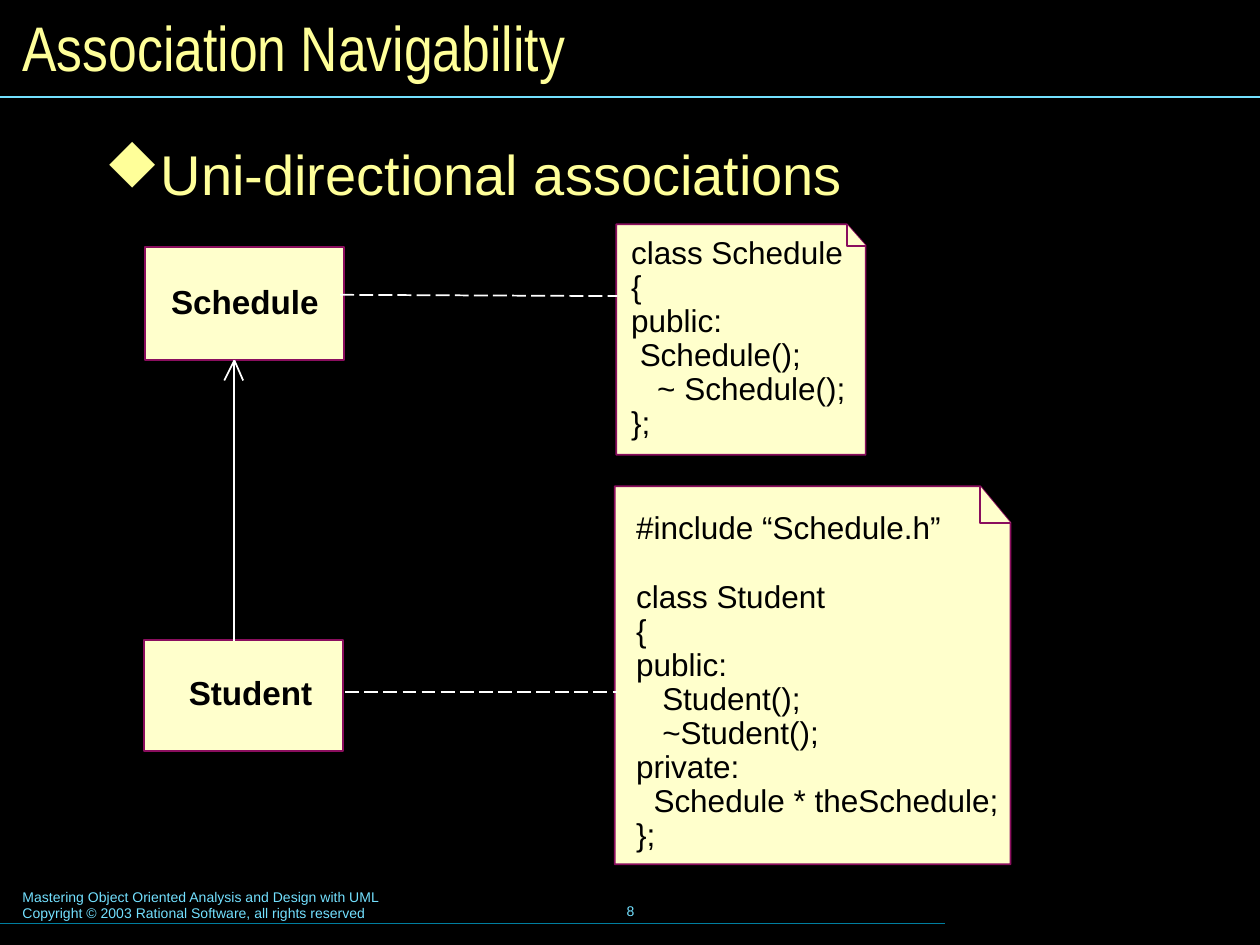
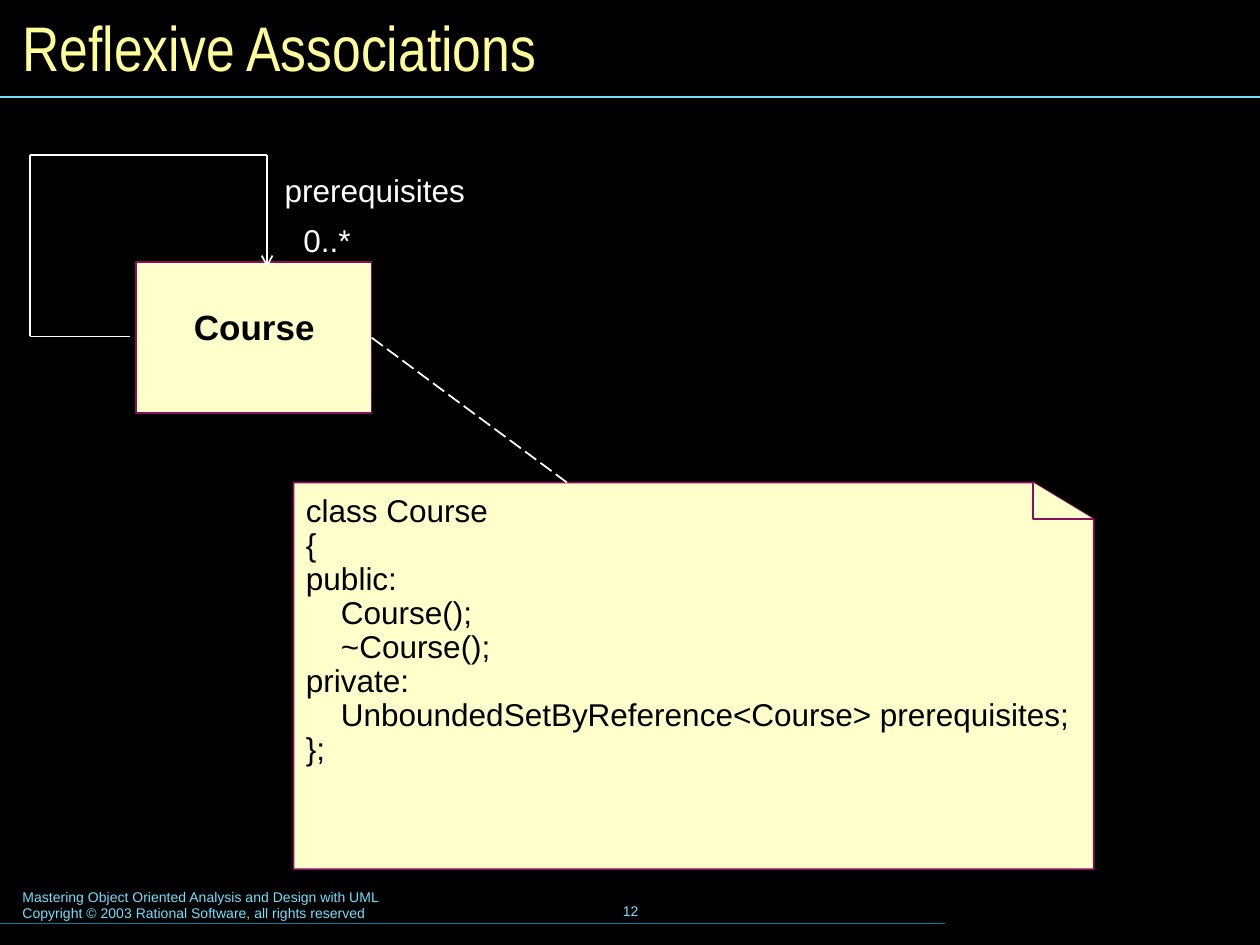
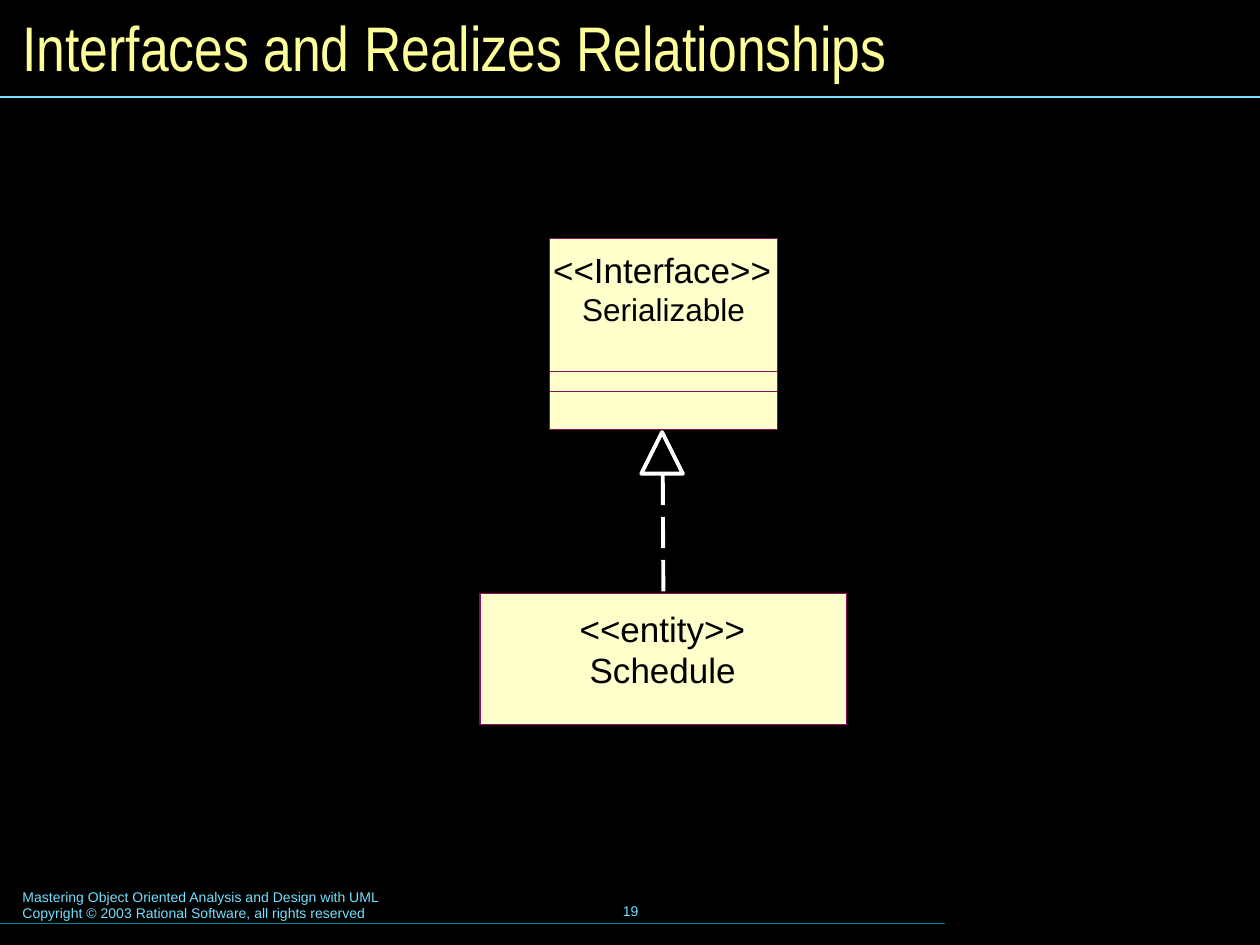
from lxml import etree
from pptx import Presentation
from pptx.dml.color import RGBColor
from pptx.enum.dml import MSO_LINE
from pptx.enum.shapes import MSO_CONNECTOR, MSO_SHAPE
from pptx.enum.text import MSO_ANCHOR, MSO_AUTO_SIZE, PP_ALIGN
from pptx.oxml.ns import qn
from pptx.util import Inches, Pt

BLACK = RGBColor(0x00, 0x00, 0x00)
WHITE = RGBColor(0xFF, 0xFF, 0xFF)
YELLOW = RGBColor(0xFF, 0xFF, 0x99)
CREAM = RGBColor(0xFF, 0xFF, 0xCC)
PLUM = RGBColor(0x8A, 0x0E, 0x5E)
CYAN = RGBColor(0x73, 0xE1, 0xFF)
TEAL = RGBColor(0x00, 0x7E, 0x9F)

STRAIGHT = MSO_CONNECTOR.STRAIGHT
RECTANGLE = MSO_SHAPE.RECTANGLE
TRIANGLE = MSO_SHAPE.ISOSCELES_TRIANGLE
LONG_DASH = MSO_LINE.LONG_DASH
TOP, MIDDLE = MSO_ANCHOR.TOP, MSO_ANCHOR.MIDDLE
LEFT, CENTER = PP_ALIGN.LEFT, PP_ALIGN.CENTER
FIT_SHAPE, NO_FIT = MSO_AUTO_SIZE.SHAPE_TO_FIT_TEXT, MSO_AUTO_SIZE.NONE
SIDE_TOP, SIDE_RIGHT = 0, 3

FOOTER = """Mastering Object Oriented Analysis and Design with UML
Copyright © 2003 Rational Software, all rights reserved"""

SCHEDULE_CODE = """class Schedule
{
public:
 Schedule();
   ~ Schedule();
};"""

STUDENT_CODE = """#include “Schedule.h”

class Student
{
public:
   Student();
   ~Student();
private:
  Schedule * theSchedule;
};"""

COURSE_CODE = """class Course
{
public:
    Course();
    ~Course();
private:
    UnboundedSetByReference<Course> prerequisites;
};"""


class Deck:
    code_size = 18
    code_spacing = 0.9
    blank_line = Pt(19.5)
    slack = 0.1

    def __init__(self):
        self.prs = Presentation()
        self.prs.slide_width = Inches(10)
        self.prs.slide_height = Inches(7.5)
        self.s = None

    def slide(self, title, number):
        self.s = self.prs.slides.add_slide(self.prs.slide_layouts[6])
        fill = self.s.background.fill
        fill.solid()
        fill.fore_color.rgb = BLACK
        self.text(0.08, 7, 5.1, 0.37, FOOTER, 8, CYAN)
        self.text(3.42, 6.98, 3.17, 0.5, str(number), 8, CYAN,
                  align=CENTER, anchor=MIDDLE, fit=NO_FIT)
        self.line((0, 7.33), (7.5, 7.33), TEAL, 0.75)
        self.line((0, 0.77), (10, 0.77), CYAN, 0.75)
        self.text(0.08, 0.08, 9.84, 0.58, title, 36, YELLOW, font="Arial Narrow",
                  anchor=MIDDLE, fit=NO_FIT)

    def text(self, x, y, w, h, text, size, color, font="Arial", bold=False,
             align=LEFT, anchor=TOP, fit=FIT_SHAPE, inset=(0.1, 0.05), spacing=1.0):
        sp = self.s.shapes.add_textbox(Inches(x), Inches(y), Inches(w), Inches(h))
        tf = sp.text_frame
        tf.word_wrap = True
        tf.auto_size = fit
        tf.vertical_anchor = anchor
        tf.margin_left = tf.margin_right = Inches(inset[0])
        tf.margin_top = tf.margin_bottom = Inches(inset[1])
        p, after_blank = None, False
        for line in text.split("\n"):
            if not line:
                after_blank = True
                continue
            p = tf.add_paragraph() if p else tf.paragraphs[0]
            p.alignment = align
            p.line_spacing = spacing
            if after_blank:
                p.space_before = self.blank_line
                after_blank = False
            r = p.add_run()
            r.text = line
            r.font.name = font
            r.font.size = Pt(size)
            r.font.bold = bold
            r.font.color.rgb = color
        return sp

    def label(self, x, y, w, h, text, size=18, color=BLACK, bold=False):
        self.text(x, y, w + self.slack, h, text, size, color, bold=bold,
                  spacing=self.code_spacing)

    def stereotype(self, x, y, w, h, text, size=20):
        self.text(x, y, w + self.slack, h, text, size, BLACK, inset=(0, 0))

    def bullet(self, x, y, w, h, text):
        sp = self.text(x, y, w, h, text, 32, YELLOW, fit=NO_FIT,
                       inset=(0.12, 0.06), spacing=0.8)
        pPr = sp.text_frame.paragraphs[0]._p.get_or_add_pPr()
        pPr.set("marL", str(Inches(0.37)))
        pPr.set("indent", str(-Inches(0.37)))
        clr = etree.SubElement(pPr, qn("a:buClr"))
        etree.SubElement(clr, qn("a:srgbClr")).set("val", str(YELLOW))
        font = etree.SubElement(pPr, qn("a:buFont"))
        font.set("typeface", "Wingdings")
        font.set("charset", "2")
        etree.SubElement(pPr, qn("a:buChar")).set("char", "u")

    def paint(self, sp, fill, color, width):
        sp.shadow.inherit = False
        if fill is None:
            sp.fill.background()
        else:
            sp.fill.solid()
            sp.fill.fore_color.rgb = fill
        sp.line.color.rgb = color
        sp.line.width = Pt(width)
        return sp

    def box(self, x, y, w, h, kind=RECTANGLE, fill=CREAM, color=PLUM, width=1):
        sp = self.s.shapes.add_shape(kind, Inches(x), Inches(y), Inches(w), Inches(h))
        return self.paint(sp, fill, color, width)

    def outline(self, points, close):
        start, *rest = [(Inches(x), Inches(y)) for x, y in points]
        builder = self.s.shapes.build_freeform(*start)
        builder.add_line_segments(rest, close=close)
        self.paint(builder.convert_to_shape(), CREAM, PLUM, 1)

    def note(self, x, y, w, h, fold_w, fold_h):
        right, bottom = x + w, y + h
        fold_top = (right - fold_w, y)
        fold_side = (right, y + fold_h)
        self.outline([(right, bottom), (x, bottom), (x, y), fold_top, fold_side], True)
        self.outline([fold_side, (right - fold_w, y + fold_h), fold_top], False)

    def line(self, start, end, color=WHITE, width=1, dash=None, arrow=False,
             begin=None, finish=None):
        c = self.s.shapes.add_connector(STRAIGHT, *map(Inches, start + end))
        c.line.color.rgb = color
        c.line.width = Pt(width)
        if dash is not None:
            c.line.dash_style = dash
        spPr = c._element.spPr
        if arrow:
            etree.SubElement(spPr.find(qn("a:ln")), qn("a:tailEnd")).set("type", "arrow")
        etree.SubElement(spPr, qn("a:effectLst"))
        if begin:
            c.begin_connect(*begin)
        if finish:
            c.end_connect(*finish)


def navigability(deck):
    deck.slide("Association Navigability", 8)
    deck.note(4.89, 1.78, 1.98, 1.83, 0.15, 0.17)
    deck.note(4.88, 3.86, 3.14, 3, 0.24, 0.29)
    deck.box(1.15, 1.96, 1.58, 0.9)
    deck.label(1.26, 2.22, 1.37, 0.39, "Schedule", 19, bold=True)
    deck.box(1.14, 5.08, 1.58, 0.88)
    deck.label(1.4, 5.32, 1.18, 0.39, "Student", 19, bold=True)
    deck.label(4.95, 4.02, 3.07, 2.79, STUDENT_CODE, deck.code_size)
    deck.label(4.91, 1.83, 1.89, 1.71, SCHEDULE_CODE, deck.code_size)
    deck.line((1.86, 2.87), (1.86, 5.09))
    for barb_x in (1.78, 1.93):
        deck.line((barb_x, 3.02), (1.86, 2.86))
    deck.line((2.7, 2.34), (4.9, 2.35), dash=LONG_DASH)
    deck.line((2.74, 5.49), (4.9, 5.49), dash=LONG_DASH)
    deck.bullet(0.71, 1.15, 9.28, 5.52, "Uni-directional associations")


def reflexive(deck):
    deck.slide("Reflexive Associations", 12)
    deck.note(2.33, 3.83, 6.35, 3.07, 0.48, 0.29)
    course = deck.box(1.08, 2.08, 1.87, 1.2)
    deck.label(1.44, 2.41, 1.15, 0.39, "Course", 20, bold=True)
    deck.label(2.16, 1.34, 1.62, 0.36, "prerequisites", color=WHITE)
    deck.label(2.31, 1.74, 0.57, 0.36, "0..*", color=WHITE)
    deck.line((2.95, 2.68), (4.5, 3.83), dash=LONG_DASH, begin=(course, SIDE_RIGHT))
    deck.label(2.33, 3.88, 6.25, 2.25, COURSE_CODE, deck.code_size)
    loop = [(1.03, 2.67), (0.24, 2.67), (0.24, 1.23), (2.12, 1.23), (2.12, 2.12)]
    for start, end in zip(loop, loop[1:]):
        deck.line(start, end, arrow=end == loop[-1])


def realizes(deck):
    deck.slide("Interfaces and Realizes Relationships", 19)
    bottom = 3.41
    for top in (1.89, 2.95, 3.11):
        deck.box(4.36, top, 1.81, bottom - top, width=0)
    deck.stereotype(4.39, 1.97, 1.73, 0.33, "<<Interface>>")
    deck.stereotype(4.62, 2.3, 1.29, 0.3, "Serializable", 18)
    entity = deck.box(3.81, 4.71, 2.91, 1.04, width=0)
    deck.stereotype(4.6, 4.82, 1.32, 0.33, "<<entity>>")
    deck.stereotype(4.68, 5.15, 1.16, 0.33, "Schedule")
    deck.box(5.09, 3.43, 0.33, 0.33, TRIANGLE, None, WHITE, 2.25)
    deck.line((5.26, 3.76), (5.26, 4.71), width=2.25, dash=LONG_DASH,
              finish=(entity, SIDE_TOP))


def main():
    deck = Deck()
    navigability(deck)
    reflexive(deck)
    realizes(deck)
    deck.prs.save("out.pptx")


if __name__ == "__main__":
    main()
